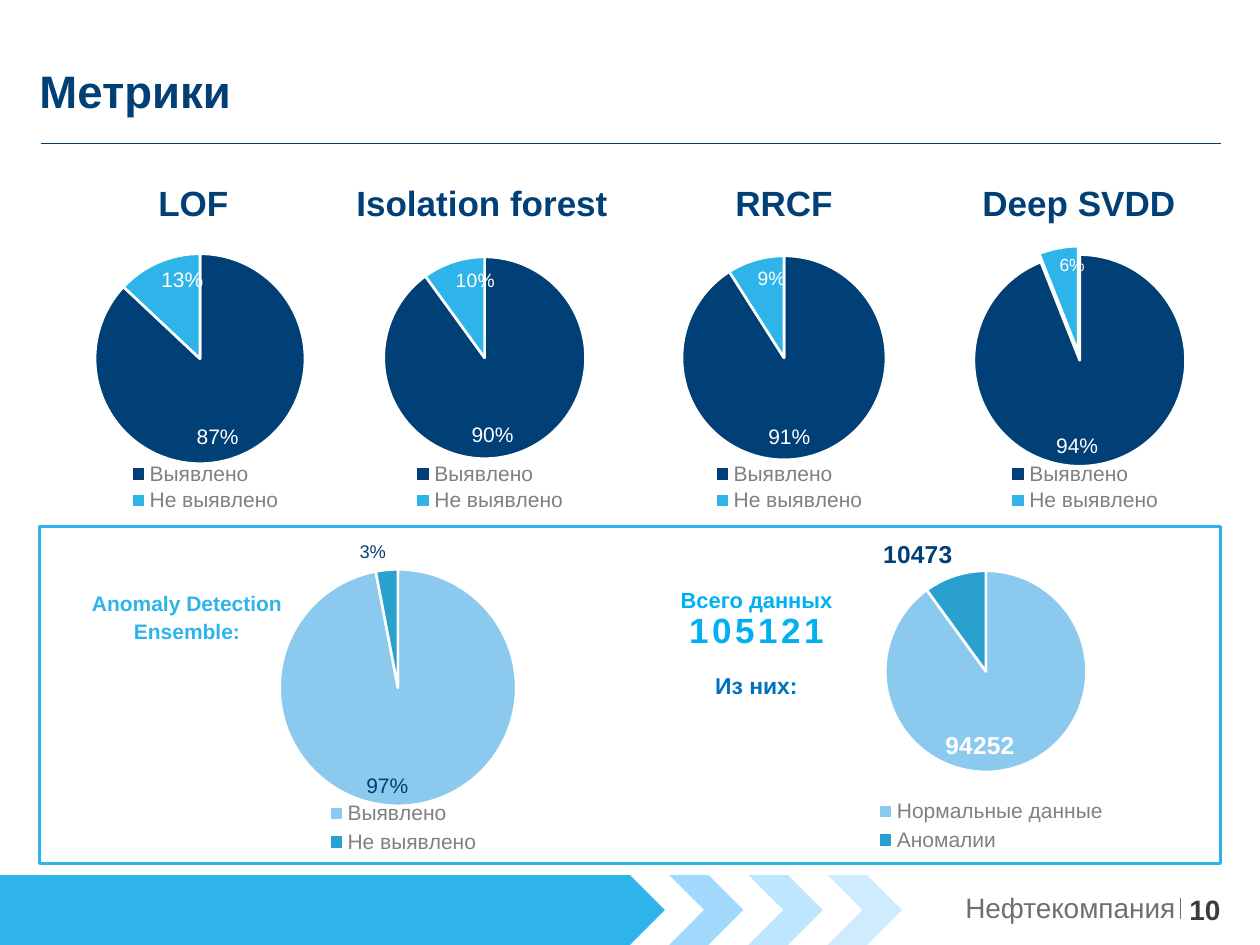
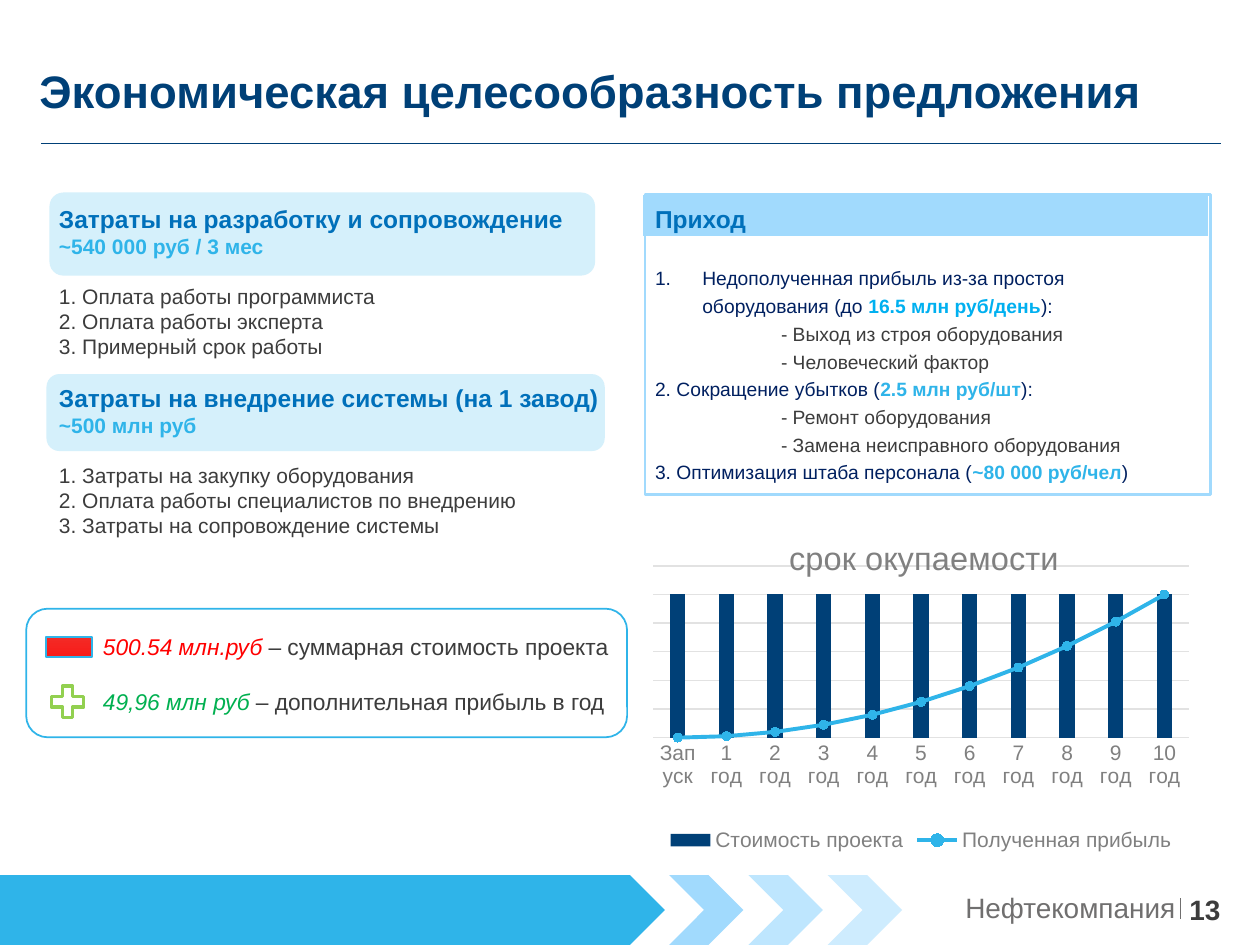
import pptx
import pptx.chart.data
import pptx.dml.color
import pptx.enum.chart
import pptx.enum.dml
import pptx.enum.shapes
import pptx.enum.text
import pptx.oxml
import pptx.oxml.ns
import pptx.util

Pt = pptx.util.Pt
SHAPE = pptx.enum.shapes.MSO_SHAPE
ALIGN = pptx.enum.text.PP_ALIGN
ANCHOR = pptx.enum.text.MSO_ANCHOR
CHART = pptx.enum.chart.XL_CHART_TYPE
LABEL = pptx.enum.chart.XL_LABEL_POSITION

# Shared look
FONT = "Arial"
NAVY, SKY, AZURE, BLUE = "004077", "2FB4E9", "00B0F0", "0070BA"
INK, GREY, WHITE, DEEP = "3C3C3C", "808080", "FFFFFF", "002060"
PALE, LIGHT, GRID, FOOT = "D5F0FB", "A1DAFD", "E2E2E2", "706F6F"
COMPANY = "Нефтекомпания"
ARROWS = [  # preset, left, width, colour
    (SHAPE.PENTAGON, 0, 380, SKY),
    (SHAPE.CHEVRON, 382.3, 42.5, LIGHT),
    (SHAPE.CHEVRON, 427.7, 42.5, "BEE6FE"),
    (SHAPE.CHEVRON, 473, 42.5, "CEECFE"),
]

# Metrics slide: pies
DETECTED = ["Выявлено", "Не выявлено"]
STRONG, SOFT = (NAVY, SKY), ("8BC9EE", "2AA0CF")
UPPER = dict(top=121, height=177, width=230, legend=(-47, 262, 100, 33),
             colors=STRONG, names=DETECTED, number="0%", small=LABEL.INSIDE_END)
LOWER = dict(top=298.5, height=196, width=255, colors=SOFT, small=LABEL.OUTSIDE_END)
WHITE_LABEL = dict(size=12, color=WHITE)
NAVY_LABEL = dict(size=12, color=NAVY)
PIES = [  # frame centre, pie centre and radius, values, label formats
    dict(UPPER, mid=111, pie=(114.3, 205, 60), values=(0.87, 0.13),
         labels=(WHITE_LABEL, WHITE_LABEL)),
    dict(UPPER, mid=275.5, pie=(277, 204.5, 57.7), values=(0.9, 0.1),
         labels=(WHITE_LABEL, dict(WHITE_LABEL, size=11))),
    dict(UPPER, mid=448, pie=(448, 204.5, 58.3), values=(0.91, 0.09),
         labels=(WHITE_LABEL, dict(WHITE_LABEL, size=11))),
    dict(UPPER, mid=617, pie=(617, 206, 60.5), values=(0.94, 0.06), explode=8,
         labels=(WHITE_LABEL, dict(WHITE_LABEL, size=10))),
    dict(LOWER, mid=227.5, pie=(227.4, 393, 67.6), values=(0.97, 0.03),
         names=DETECTED, number="0%", legend=(-47, 455, 100, 36),
         labels=(NAVY_LABEL, dict(NAVY_LABEL, size=10.5))),
    dict(LOWER, mid=563, pie=(563.4, 383.7, 57.5), values=(94252, 10473),
         names=["Нормальные данные", "Аномалии"], number="General",
         legend=(-68, 454, 142, 36),
         labels=(dict(size=14, color=WHITE, bold=True),
                 dict(size=14, color=NAVY, bold=True))),
]
MODELS = [("LOF", 110.5), ("Isolation forest", 275.5), ("RRCF", 448), ("Deep SVDD", 616.5)]
MODEL = dict(size=20, color=NAVY, bold=True)
ENSEMBLE = [([("Anomaly Detection Ensemble:", dict(size=12, color=SKY, bold=True))], {})]
TOTAL = [
    ([("Всего данных", dict(size=12.5, color=AZURE, bold=True))], {}),
    ([("105121", dict(size=20, color=AZURE, bold=True, spacing=2))], {}),
    ([("Из них:", dict(size=13.1, color="0070C0", bold=True))], dict(before=13.5)),
]

# Economics slide: texts as paragraphs of (runs, paragraph format)
HEAD = dict(size=14, color=BLUE, bold=True)
SUM = dict(size=12, color=SKY, bold=True)
COST = dict(size=12, color=INK)
COSTS = [
    ([("Затраты на разработку и сопровождение", HEAD)], {}),
    ([("~540 000 руб / 3 мес", SUM)], {}),
    ([("1. Оплата работы программиста", COST)], dict(before=14)),
    ([("2. Оплата работы эксперта", COST)], {}),
    ([("3. Примерный срок работы", COST)], {}),
    ([("Затраты на внедрение системы (на 1 завод)", HEAD)], dict(before=14)),
    ([("~500 млн руб", SUM)], {}),
    ([("1. Затраты на закупку оборудования", COST)], dict(before=14)),
    ([("2. Оплата работы специалистов по внедрению", COST)], {}),
    ([("3. Затраты на сопровождение системы", COST)], {}),
]
GAIN = dict(size=11, color=DEEP)
CAUSE = dict(size=11, color=INK)
RATE = dict(size=11, color=SKY, bold=True)
SUB = dict(indent=72)
INCOME = [
    ([("Приход", HEAD)], {}),
    ([("Недополученная прибыль из-за простоя оборудования (до ", GAIN),
      ("16.5 млн руб/день", dict(RATE, color=AZURE)), ("):", GAIN)],
     dict(before=16.5, indent=27, numbered=True)),
    ([("- Выход из строя оборудования", CAUSE)], SUB),
    ([("- Человеческий фактор", CAUSE)], SUB),
    ([("2. Сокращение убытков (", GAIN), ("2.5 млн руб/шт", RATE), ("):", GAIN)], {}),
    ([("- Ремонт оборудования", CAUSE)], SUB),
    ([("- Замена неисправного оборудования", CAUSE)], SUB),
    ([("3. Оптимизация штаба персонала (", GAIN), ("~80 000 руб/чел", RATE),
      (")", GAIN)], {}),
]
NOTE = dict(size=13, color=INK)
SUMMARY = [
    ([("500.54 млн.руб", dict(size=13, color="FF0000", italic=True)),
      (" – суммарная стоимость проекта", NOTE)], {}),
    ([("49,96 млн руб ", dict(size=13, color="00B050", italic=True)),
      ("– дополнительная прибыль в год", NOTE)], dict(before=16)),
]
YEARS = ["Запуск"] + [f"{year} год" for year in range(1, 11)]
PAYBACK = {"Стоимость проекта": [100] * 11,
           "Полученная прибыль": [year ** 2 for year in range(11)]}


def rgb(color):
    return pptx.dml.color.RGBColor.from_string(color)


def style(font, size, color, **values):
    for name, value in dict(values, name=FONT, size=Pt(size)).items():
        setattr(font, name, value)
    font.color.rgb = rgb(color)


def paint(part, fill=None, line=None, width=1):
    if fill:
        part.fill.solid()
        part.fill.fore_color.rgb = rgb(fill)
    else:
        part.fill.background()
    if line:
        part.line.color.rgb = rgb(line)
        part.line.width = Pt(width)
    else:
        part.line.fill.background()


def add_box(slide, preset, box, *look):
    shape = slide.shapes.add_shape(preset, *map(Pt, box))
    shape.shadow.inherit = False
    paint(shape, *look)
    return shape


def add_rule(slide, start, end, color, width):
    rule = slide.shapes.add_connector(
        pptx.enum.shapes.MSO_CONNECTOR.STRAIGHT, *map(Pt, start + end))
    rule.line.color.rgb = rgb(color)
    rule.line.width = Pt(width)
    rule._element.spPr.append(pptx.oxml.parse_xml(
        f'<a:effectLst {pptx.oxml.ns.nsdecls("a")}/>'))


def write(frame, paragraphs, align=ALIGN.LEFT, spacing=1.0, inset=(0, 0),
          anchor=ANCHOR.TOP):
    settings = dict(word_wrap=True, vertical_anchor=anchor,
                    auto_size=pptx.enum.text.MSO_AUTO_SIZE.NONE,
                    margin_left=Pt(inset[0]), margin_right=Pt(inset[0]),
                    margin_top=Pt(inset[1]), margin_bottom=Pt(inset[1]))
    for name, value in settings.items():
        setattr(frame, name, value)
    for index, (runs, form) in enumerate(paragraphs):
        paragraph = frame.add_paragraph() if index else frame.paragraphs[0]
        paragraph.alignment, paragraph.line_spacing = align, spacing
        paragraph.space_before = Pt(form.get("before", 0))
        if "indent" in form:
            properties = paragraph._p.get_or_add_pPr()
            properties.set("marL", str(Pt(form["indent"])))
            if form.get("numbered"):
                properties.set("indent", str(-Pt(form["indent"])))
                properties.append(pptx.oxml.parse_xml(
                    f'<a:buAutoNum {pptx.oxml.ns.nsdecls("a")} type="arabicPeriod"/>'))
        for words, look in runs:
            run = paragraph.add_run()
            run.text = words
            style(run.font, **{k: v for k, v in look.items() if k != "spacing"})
            if "spacing" in look:
                run.font._element.set("spc", str(look["spacing"] * 100))


def add_text(slide, box, paragraphs, **settings):
    write(slide.shapes.add_textbox(*map(Pt, box)).text_frame, paragraphs, **settings)


def place(parent, index, inner=False, **fractions):
    """Give a chart part a fixed place, in fractions of the chart."""
    for old in parent.xpath("c:layout"):
        parent.remove(old)
    target = '<c:layoutTarget val="inner"/>' if inner else ""
    modes = "".join(f'<c:{k}Mode val="edge"/>' for k in "xy")
    sizes = "".join(f'<c:{k} val="{v:.4f}"/>' for k, v in fractions.items())
    parent.insert(index, pptx.oxml.parse_xml(
        f'<c:layout {pptx.oxml.ns.nsdecls("c")}><c:manualLayout>'
        f'{target}{modes}{sizes}</c:manualLayout></c:layout>'))


def add_chart(slide, kind, box, names, series, number="General"):
    data = pptx.chart.data.CategoryChartData(number_format=number)
    data.categories = names
    for name, values in series.items():
        data.add_series(name, values)
    chart = slide.shapes.add_chart(kind, *map(Pt, box), data).chart
    style(chart.font, 10, INK)
    chart.has_title = False
    chart.has_legend = True
    chart.legend.position = pptx.enum.chart.XL_LEGEND_POSITION.BOTTOM
    chart.legend.include_in_layout = False
    style(chart.legend.font, 12, GREY)
    return chart


def add_pie(slide, pie):
    width, height, top = pie["width"], pie["height"], pie["top"]
    left = pie["mid"] - width / 2
    chart = add_chart(slide, CHART.PIE, (left, top, width, height), pie["names"],
                      {"Series 1": pie["values"]}, pie["number"])

    def fractions(x, y, w, h):
        return dict(x=(x - left) / width, y=(y - top) / height, w=w / width, h=h / height)

    x, y, radius = pie["pie"]
    shift, *rest = pie["legend"]
    place(chart.element.xpath(".//c:plotArea")[0], 0, True,
          **fractions(x - radius, y - radius, 2 * radius, 2 * radius))
    place(chart.element.xpath(".//c:legend")[0], 1, **fractions(x + shift, *rest))
    slices = chart.plots[0].series[0].points
    for index, position in enumerate((LABEL.INSIDE_END, pie["small"])):
        paint(slices[index].format, pie["colors"][index], WHITE, 1.5)
        label = slices[index].data_label
        style(label.font, **pie["labels"][index])
        label.position = position
    if "explode" in pie:
        slices[1].format  # the slice properties precede the offset
        slices[1].format.fill._xPr.addprevious(pptx.oxml.parse_xml(
            f'<c:explosion {pptx.oxml.ns.nsdecls("c")} val="{pie["explode"]}"/>'))


def add_payback(slide):
    chart = add_chart(slide, CHART.COLUMN_CLUSTERED, (362.2, 289.4, 328.3, 200),
                      YEARS, PAYBACK)
    chart.has_title = True
    heading = chart.chart_title.text_frame
    heading.text = "срок окупаемости"
    style(heading.paragraphs[0].runs[0].font, 18.6, GREY, bold=False)
    place(chart.element.xpath(".//c:title")[0], 1, x=0.26, y=0.07)
    area = chart.element.xpath(".//c:plotArea")[0]
    place(area, 0, True, x=0.034, y=0.17, w=0.932, h=0.491)

    years, amounts = chart.category_axis, chart.value_axis
    style(years.tick_labels.font, 12, GREY)
    years.major_tick_mark = pptx.enum.chart.XL_TICK_MARK.NONE
    amounts.visible = False
    for name, value in dict(minimum_scale=0, maximum_scale=120, major_unit=20).items():
        setattr(amounts, name, value)
    for line in (years.format.line, amounts.major_gridlines.format.line):
        line.color.rgb = rgb(GRID)
        line.width = Pt(0.75)

    bars = chart.plots[0]
    bars.gap_width, bars.overlap, bars.vary_by_categories = 219, -27, False
    paint(bars.series[0].format, NAVY)

    # The profit series moves to a line plot on the same axes
    profit = bars.series[1]._element
    for extra in profit.xpath("c:invertIfNegative"):
        profit.remove(extra)
    axes = "".join(f'<c:axId val="{axis.get("val")}"/>'
                   for axis in area.xpath("c:barChart/c:axId"))
    lines = pptx.oxml.parse_xml(
        f'<c:lineChart {pptx.oxml.ns.nsdecls("c")}><c:grouping val="standard"/>'
        f'<c:varyColors val="0"/><c:marker val="1"/>{axes}</c:lineChart>')
    lines.insert(2, profit)
    area.xpath("c:barChart")[0].addnext(lines)
    curve = chart.plots[1].series[0]
    curve.smooth = False
    curve.format.line.color.rgb = rgb(SKY)
    curve.format.line.width = Pt(2.25)
    curve.marker.style = pptx.enum.chart.XL_MARKER_STYLE.CIRCLE
    curve.marker.size = 5
    paint(curve.marker.format, SKY, SKY)


def add_slide(deck, title, number):
    slide = deck.slides.add_slide(deck.slide_layouts[5])
    heading = slide.shapes.title
    for name, value in dict(left=22.5, top=20, width=675, height=47.5).items():
        setattr(heading, name, Pt(value))
    write(heading.text_frame, [([(title, dict(size=26, color=NAVY, bold=True))], {})],
          spacing=0.9, anchor=ANCHOR.BOTTOM)
    add_rule(slide, (23.5, 82), (697.5, 82), NAVY, 1)
    # Footer
    add_rule(slide, (674.6, 513.4), (674.6, 525), FOOT, 0.75)
    add_text(slide, (679.7, 509.8, 40, 14), [([(number, dict(size=16, color=INK, bold=True))], {})])
    add_text(slide, (427.7, 509, 244, 19.4), [([(COMPANY, dict(size=16, color=FOOT))], {})],
             align=ALIGN.RIGHT, anchor=ANCHOR.MIDDLE)
    for preset, left, width, color in ARROWS:
        add_box(slide, preset, (left, 500, width, 40), color)
    return slide


def add_metrics(deck):
    slide = add_slide(deck, "Метрики", "10")
    add_box(slide, SHAPE.FLOWCHART_PROCESS, (22.5, 301, 675, 192.3), WHITE, SKY, 1.5)
    for name, middle in MODELS:
        add_text(slide, (middle - 85, 101.5, 170, 37), [([(name, MODEL)], {})],
                 align=ALIGN.CENTER, spacing=1.1)
    for pie in PIES:
        add_pie(slide, pie)
    add_text(slide, (50.4, 336.2, 113, 39), ENSEMBLE, align=ALIGN.CENTER, spacing=1.1)
    add_text(slide, (375.8, 337, 113, 66), TOTAL, align=ALIGN.CENTER, spacing=0.9)


def add_economics(deck):
    slide = add_slide(deck, "Экономическая целесообразность предложения", "13")
    # Income and costs
    add_box(slide, SHAPE.FLOWCHART_PROCESS, (368.6, 111.3, 323.3, 171.4), None, LIGHT, 1.5)
    add_box(slide, SHAPE.FLOWCHART_PROCESS, (367.2, 111.3, 323.3, 23.8), LIGHT)
    add_box(slide, SHAPE.ROUNDED_RECTANGLE, (26.6, 213.8, 319, 44), PALE)
    add_box(slide, SHAPE.ROUNDED_RECTANGLE, (28.3, 110, 311.8, 47.5), PALE)
    add_text(slide, (367.2, 109.5, 323.3, 171.4), INCOME, spacing=1.2, inset=(7.2, 3.6))
    add_text(slide, (26.6, 113, 337.7, 201), COSTS, inset=(7.2, 3.6))
    add_payback(slide)
    # Summary
    add_box(slide, SHAPE.ROUNDED_RECTANGLE, (15, 347.8, 343.4, 73.5), WHITE, SKY, 1)
    add_text(slide, (51.8, 357.8, 328.3, 54.7), SUMMARY, inset=(7.2, 3.6))
    add_box(slide, SHAPE.MATH_PLUS, (26, 388.8, 25.2, 24.5), WHITE, "92D050", 2)
    minus = add_box(slide, SHAPE.MATH_MINUS, (21.6, 344.9, 36, 49.7), WHITE, SKY, 1)
    minus.fill.gradient()
    minus.fill.gradient_angle = 270
    for stop, color in zip(minus.fill.gradient_stops, ("EC463F", "FF0000")):
        stop.color.rgb = rgb(color)


def main():
    deck = pptx.Presentation()
    deck.slide_width, deck.slide_height = Pt(720), Pt(540)
    add_metrics(deck)
    add_economics(deck)
    deck.save("out.pptx")


if __name__ == "__main__":
    main()
